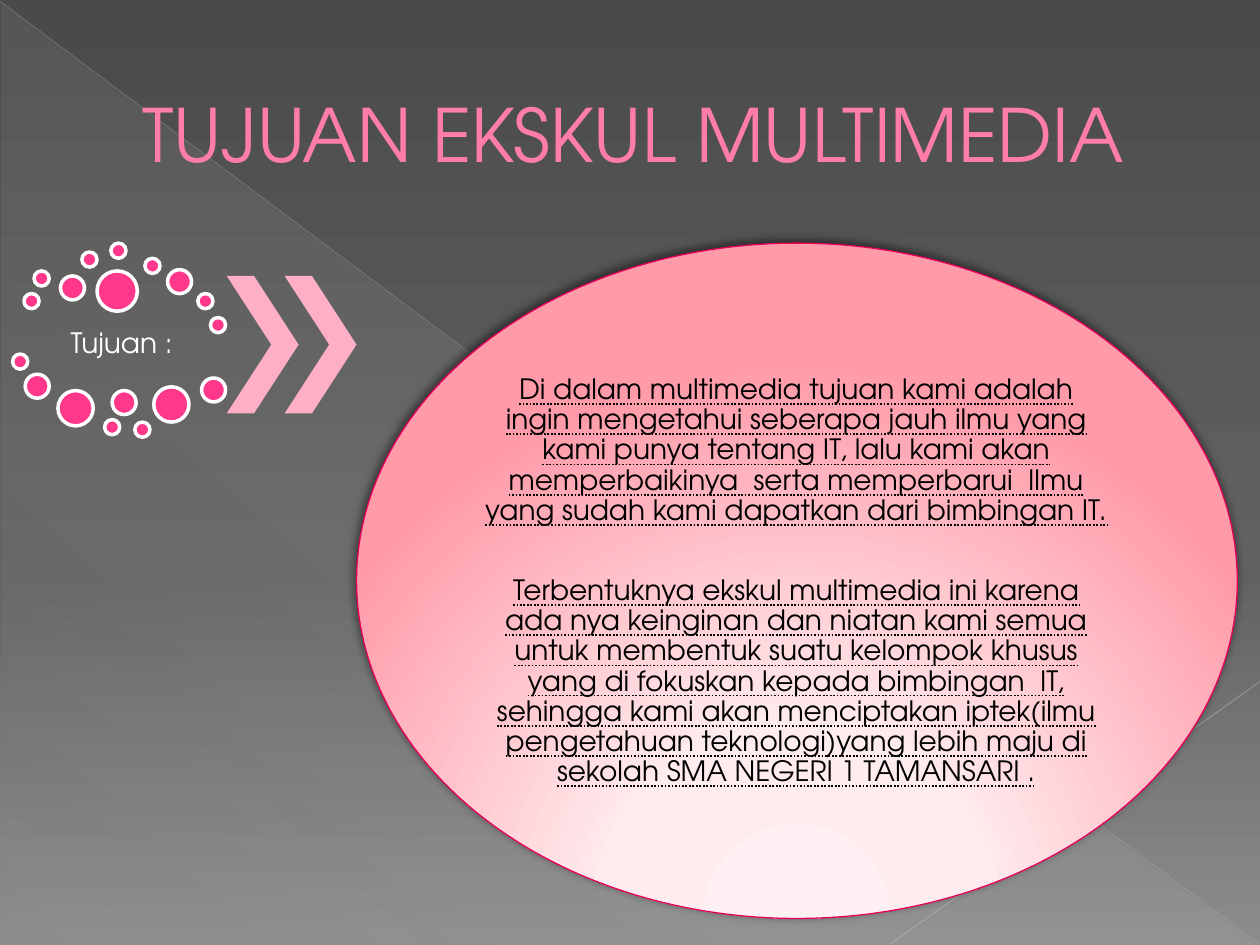
from dataclasses import dataclass
from typing import NamedTuple

from lxml.etree import SubElement
from pptx import Presentation
from pptx.dml.color import RGBColor
from pptx.enum.shapes import MSO_CONNECTOR, MSO_SHAPE
from pptx.enum.text import MSO_ANCHOR, MSO_UNDERLINE, PP_ALIGN
from pptx.oxml.ns import qn
from pptx.oxml.xmlchemy import OxmlElement
from pptx.util import Inches, Pt


@dataclass(frozen=True)
class Theme:
    font: str = "TeX Gyre Adventor"
    head: int = 42
    body: int = 16
    title: str = "FF7DA7"
    edge: str = "B12761"
    dot: str = "FF388C"
    arrow: str = "FFAFC5"
    rim: str = "E40059"
    white: str = "FFFFFF"
    black: str = "000000"
    back: tuple = ((0, "4A4A4A", 100), (60, "626262", 100), (100, "8C8C8C", 100))
    sheen: tuple = ((0, "D2D2D2", 10), (70, "D2D2D2", 8), (100, "D2D2D2", 1))
    glow: tuple = ((0, "FFF1F3", 100), (34, "FFECEE", 100), (100, "FF9BA9", 100))


class Box(NamedTuple):
    x: float
    y: float
    w: float
    h: float


class Dot(NamedTuple):
    x: float
    y: float
    size: float


class Ray(NamedTuple):
    x1: float
    y1: float
    x2: float
    y2: float
    color: str
    width: float
    alpha: int


T = Theme()
S, M, L, XL = 0.12, 0.19, 0.28, 0.32

RAYS = (
    Ray(0, 0.01, 9.99, 7.49, "BFBFBF", 0.39, 35),
    Ray(10, 5.41, 7.07, 7.49, "C6C6C6", 0.47, 45),
)
DOTS = (
    # Upper arc
    Dot(0.19, 2.33, S), Dot(0.27, 2.15, S), Dot(0.48, 2.19, M),
    Dot(0.65, 2, S), Dot(0.88, 1.93, S), Dot(1.15, 2.05, S),
    Dot(1.33, 2.14, M), Dot(1.57, 2.33, S), Dot(1.67, 2.52, S),
    Dot(0.77, 2.15, XL),
    # Lower arc
    Dot(0.1, 2.81, S), Dot(0.2, 2.97, M), Dot(0.46, 3.1, L),
    Dot(0.83, 3.33, S), Dot(0.89, 3.1, M), Dot(1.07, 3.35, S),
    Dot(1.22, 3.07, L), Dot(1.6, 3, M),
)
GOALS = (
    "Di dalam multimedia tujuan kami adalah ingin mengetahui seberapa jauh "
    "ilmu yang kami punya tentang IT, lalu kami akan memperbaikinya  serta "
    "memperbarui  Ilmu yang sudah kami dapatkan dari bimbingan IT.",
    "Terbentuknya ekskul multimedia ini karena ada nya keinginan dan niatan "
    "kami semua untuk membentuk suatu kelompok khusus yang di fokuskan kepada "
    "bimbingan  IT, sehingga kami akan menciptakan iptek(ilmu pengetahuan "
    "teknologi)yang lebih maju di sekolah SMA NEGERI 1 TAMANSARI .",
)


def apply(item, form: dict) -> None:
    for key, value in form.items():
        setattr(item, key, value)


def add_color(parent, color: str, alpha: int = 100) -> None:
    node = SubElement(parent, qn("a:srgbClr"), val=color)
    if alpha < 100:
        SubElement(node, qn("a:alpha"), val=str(alpha * 1000))


def set_grad(fill, root, stops: tuple, angle: int | None = None) -> None:
    """Linear at the angle, or circular from below the shape."""
    fill.gradient()
    old = root.find(".//" + qn("a:gradFill"))
    grad = OxmlElement("a:gradFill")
    grad.set("rotWithShape", "1")
    items = SubElement(grad, qn("a:gsLst"))
    for pos, color, alpha in stops:
        add_color(SubElement(items, qn("a:gs"), pos=str(pos * 1000)), color, alpha)
    if angle is None:
        way = SubElement(grad, qn("a:path"))
        way.set("path", "circle")
        SubElement(way, qn("a:fillToRect"), l="50000", t="155000", r="50000", b="-55000")
    else:
        SubElement(grad, qn("a:lin"), ang=str(angle * 60000), scaled="0")
    old.getparent().replace(old, grad)


def add_shape(slide, kind: MSO_SHAPE, box: Box, fill: str = "", line: str = "", width: float = 1):
    shape = slide.shapes.add_shape(kind, *map(Inches, box))
    shape.shadow.inherit = False
    if fill:
        shape.fill.solid()
        shape.fill.fore_color.rgb = RGBColor.from_string(fill)
    if line:
        shape.line.color.rgb = RGBColor.from_string(line)
        shape.line.width = Pt(width)
    else:
        shape.line.fill.background()
    return shape


def add_ray(slide, ray: Ray) -> None:
    ends = map(Inches, ray[:4])
    line = slide.shapes.add_connector(MSO_CONNECTOR.STRAIGHT, *ends)
    line.line.color.rgb = RGBColor.from_string(ray.color)
    line.line.width = Pt(ray.width)
    props = line._element.spPr
    tint = props.find(".//" + qn("a:srgbClr"))
    SubElement(tint, qn("a:alpha"), val=str(ray.alpha * 1000))
    SubElement(props, qn("a:effectLst"))


def add_text(slide, box: Box, lines: tuple, color: str, font: dict, para: dict, inset: float | None = None):
    frame = slide.shapes.add_textbox(*map(Inches, box)).text_frame
    apply(frame, {"word_wrap": True, "vertical_anchor": MSO_ANCHOR.MIDDLE})
    if inset is not None:
        sides = ("left", "top", "right", "bottom")
        apply(frame, {f"margin_{side}": Inches(inset) for side in sides})
    for i, line in enumerate(lines):
        item = frame.add_paragraph() if i else frame.paragraphs[0]
        apply(item, para)
        run = item.add_run()
        run.text = line
        apply(run.font, {"name": T.font, **font})
        run.font.color.rgb = RGBColor.from_string(color)
    return frame


def add_back(slide) -> None:
    set_grad(slide.background.fill, slide.element, T.back, 90)
    half = add_shape(slide, MSO_SHAPE.RIGHT_TRIANGLE, Box(0.01, 0.02, 9.98, 7.48))
    set_grad(half.fill, half._element, T.sheen, 133)
    for ray in RAYS:
        add_ray(slide, ray)


def add_title(slide) -> None:
    frame = add_text(slide, Box(0.5, 0.29, 9, 1.53), ("TUJUAN EKSKUL MULTIMEDIA",),
                     T.title, {"size": Pt(T.head)}, {"alignment": PP_ALIGN.LEFT})
    item = frame.paragraphs[0]
    item._p.get_or_add_pPr().set("marL", str(Inches(0.53)))
    edge = OxmlElement("a:ln")
    edge.set("w", str(Pt(0.5)))
    add_color(SubElement(edge, qn("a:solidFill")), T.edge)
    item.runs[0].font._element.insert(0, edge)


def add_oval(slide) -> None:
    oval = add_shape(slide, MSO_SHAPE.OVAL, Box(2.83, 1.93, 6.99, 5.36), line=T.rim, width=0.75)
    set_grad(oval.fill, oval._element, T.glow)
    effects = oval._element.spPr.find(qn("a:effectLst"))
    shade = SubElement(effects, qn("a:outerShdw"), blurRad=str(Pt(5)), dist=str(Pt(2)),
                       dir=str(245 * 60000), rotWithShape="0")
    add_color(shade, T.black, 50)


def main() -> None:
    deck = Presentation()
    apply(deck, {"slide_width": Inches(10), "slide_height": Inches(7.5)})
    slide = deck.slides.add_slide(deck.slide_layouts[6])
    add_back(slide)
    add_title(slide)

    # Label in its ring of dots
    body = {"size": Pt(T.body)}
    para = {"alignment": PP_ALIGN.CENTER, "line_spacing": 0.9}
    add_text(slide, Box(0.19, 2.48, 1.55, 0.51), ("Tujuan :",), T.white, body, para, 0.02)
    for x, y, size in DOTS:
        add_shape(slide, MSO_SHAPE.OVAL, Box(x, y, size, size), T.dot, T.white, 2)

    # Double arrow
    for i in range(2):
        arrow = add_shape(slide, MSO_SHAPE.CHEVRON, Box(1.8 + 0.46 * i, 2.19, 0.57, 1.09), T.arrow)
        arrow.adjustments[0] = 0.62

    # Goals
    add_oval(slide)
    add_text(slide, Box(3.85, 2.72, 4.94, 3.79), GOALS, T.black,
             {**body, "underline": MSO_UNDERLINE.DOTTED_LINE},
             {**para, "space_after": Pt(28.5)}, 0)
    deck.save("out.pptx")


if __name__ == "__main__":
    main()
